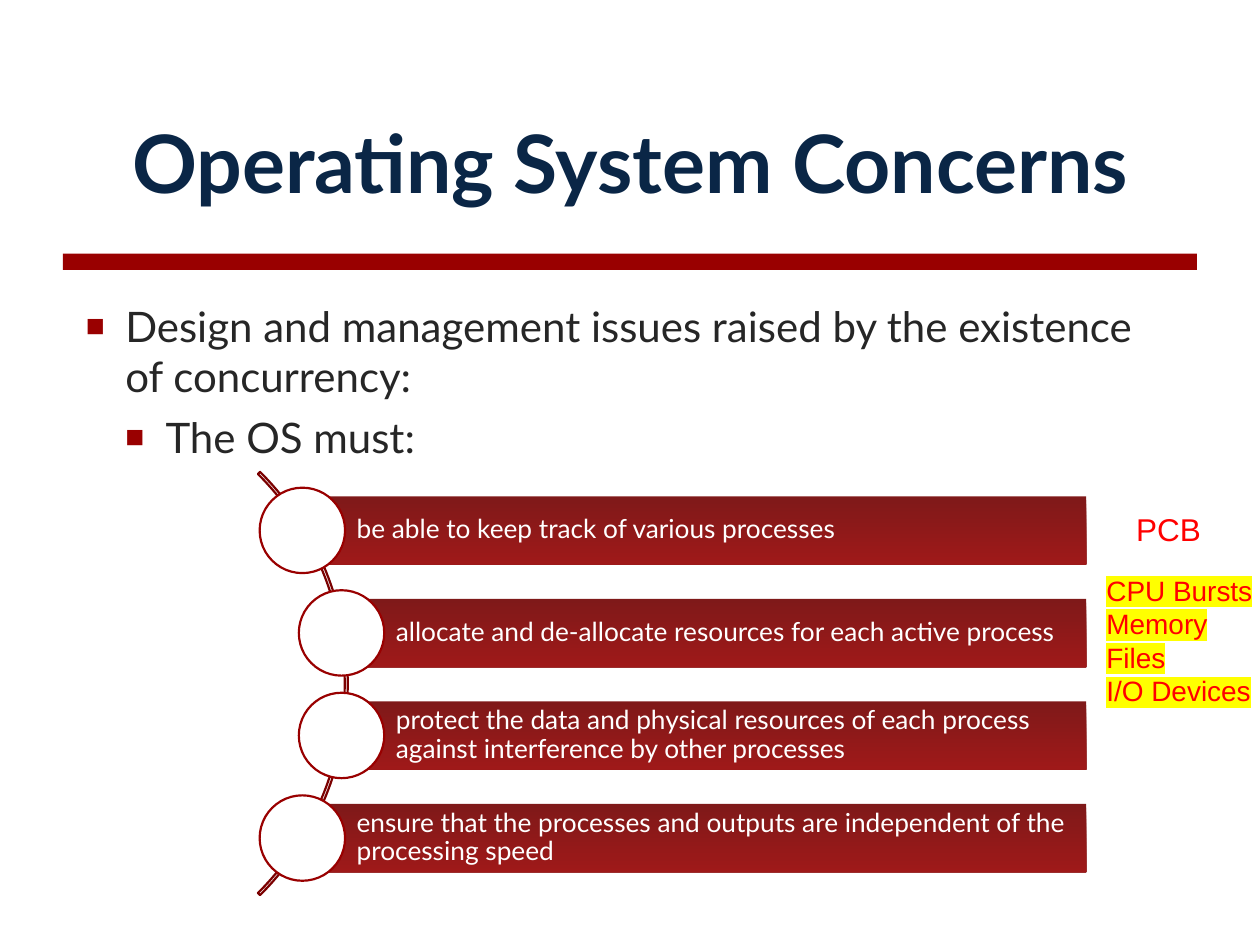
"""Build the slide on operating system concerns with concurrency."""
from dataclasses import dataclass

from lxml.etree import SubElement
from pptx import Presentation
from pptx.dml.color import RGBColor as Rgb
from pptx.enum.shapes import MSO_SHAPE as Shape
from pptx.enum.text import MSO_ANCHOR as Anchor, MSO_AUTO_SIZE as AutoSize, PP_ALIGN as Align
from pptx.oxml.ns import qn
from pptx.util import Pt


@dataclass(frozen=True)
class Theme:
    main_font: str = "Lato"
    note_font: str = "Arial"
    navy: str = "0A2646"
    ink: str = "262626"
    red: str = "990000"
    arc_red: str = "7B0000"
    bar_top: str = "720000"
    bar_bottom: str = "950000"
    white: str = "FFFFFF"
    note_red: str = "FF0000"
    marker: str = "FFFF00"
    title_size: int = 46
    body_size: int = 24
    bar_size: int = 15


theme = Theme()


def add_span(para, text, font, size, color):
    span = para.add_run()
    span.text = text
    span.font.name = font
    span.font.size = Pt(size)
    span.font.color.rgb = Rgb.from_string(color)
    return span


def add_figure(page, kind, left, top, width, height, fill=None, line=None):
    figure = page.shapes.add_shape(kind, Pt(left), Pt(top), Pt(width), Pt(height))
    figure.shadow.inherit = False
    if fill:
        figure.fill.solid()
        figure.fill.fore_color.rgb = Rgb.from_string(fill)
    else:
        figure.fill.background()
    if line:
        figure.line.color.rgb = Rgb.from_string(line)
        figure.line.width = Pt(1.25)
    else:
        figure.line.fill.background()
    return figure


deck = Presentation()
deck.slide_width, deck.slide_height = Pt(720), Pt(540)
page = deck.slides.add_slide(deck.slide_layouts[5])

add_figure(page, Shape.RECTANGLE, 36, 145, 648, 9.2, fill=theme.red)

title = page.shapes.title
title.left, title.top, title.width, title.height = Pt(52), Pt(36), Pt(616), Pt(84)
frame = title.text_frame
frame.auto_size = AutoSize.NONE
frame.word_wrap = True
frame.vertical_anchor = Anchor.BOTTOM
frame.margin_top = frame.margin_bottom = 0
para = frame.paragraphs[0]
para.alignment = Align.CENTER
para.line_spacing = Pt(54)
span = add_span(para, "Operating System Concerns", theme.main_font, theme.title_size, theme.navy)
span.font.bold = True

body = page.shapes.add_textbox(Pt(42), Pt(168), Pt(624), Pt(342))
frame = body.text_frame
frame.word_wrap = True
points = [
    ("Design and management issues raised by the existence of concurrency:", 22.5, 22.5, 0),
    ("The OS must:", 45.5, 23, 6),
]
for level, (text, margin, hanging, gap) in enumerate(points):
    para = frame.add_paragraph() if level else frame.paragraphs[0]
    para.level = level
    para.space_before = Pt(gap)
    props = para._p.get_or_add_pPr()
    props.set("marL", str(Pt(margin)))
    props.set("indent", str(-Pt(hanging)))
    SubElement(SubElement(props, qn("a:buClr")), qn("a:srgbClr"), val=theme.red)
    SubElement(props, qn("a:buSzPct"), val="75000")
    SubElement(props, qn("a:buFont"), typeface=theme.note_font)
    SubElement(props, qn("a:buChar"), char="■")
    add_span(para, text, theme.main_font, theme.body_size, theme.ink)

arc = add_figure(page, Shape.BLOCK_ARC, -143.3, 219.6, 342, 342, line=theme.arc_red)
for index, value in enumerate((189, 27, 0.005)):
    arc.adjustments[index] = value

duties = [
    ("be able to keep track of various processes", 172.8),
    ("allocate and de-allocate resources for each active process", 195.2),
    ("protect the data and physical resources of each process against interference by other processes", 195.2),
    ("ensure that the processes and outputs are independent of the processing speed", 172.8),
]
bar_right, first_top, row_pitch = 620.7, 283.6, 58.6
for row, (text, left) in enumerate(duties):
    top = first_top + row * row_pitch
    bar = add_figure(page, Shape.RECTANGLE, left, top, bar_right - left, 39)
    bar.fill.gradient()
    bar.fill.gradient_angle = 270
    for stop, color in zip(bar.fill.gradient_stops, (theme.bar_top, theme.bar_bottom)):
        stop.color.rgb = Rgb.from_string(color)
    for color in bar._element.spPr.iter(qn("a:srgbClr")):
        SubElement(color, qn("a:alpha"), val="90000")
    frame = bar.text_frame
    frame.word_wrap = True
    frame.vertical_anchor = Anchor.MIDDLE
    frame.margin_left = Pt(31)
    frame.margin_top = frame.margin_right = frame.margin_bottom = Pt(3)
    para = frame.paragraphs[0]
    para.alignment = Align.LEFT
    para.line_spacing = 0.9
    add_span(para, text, theme.main_font, theme.bar_size, theme.white)
    add_figure(page, Shape.OVAL, left - 24.4, top - 4.9, 48.8, 48.8, theme.white, theme.red)

notes = [
    (["PCB"], 642.2, 288, 52, 29, 18, None),
    (["CPU Bursts", "Memory", "Files", "I/O Devices"], 625.2, 324, 98.6, 85, 16, theme.marker),
]
for lines, left, top, width, height, size, marker in notes:
    box = page.shapes.add_textbox(Pt(left), Pt(top), Pt(width), Pt(height))
    frame = box.text_frame
    frame.word_wrap = False
    frame.auto_size = AutoSize.SHAPE_TO_FIT_TEXT
    para = frame.paragraphs[0]
    for number, text in enumerate(lines):
        if number:
            para.add_line_break()
        span = add_span(para, text, theme.note_font, size, theme.note_red)
        if marker:
            props = span._r.get_or_add_rPr()
            highlight = SubElement(props, qn("a:highlight"))
            SubElement(highlight, qn("a:srgbClr"), val=marker)
            props.find(qn("a:solidFill")).addnext(highlight)

deck.save("out.pptx")
